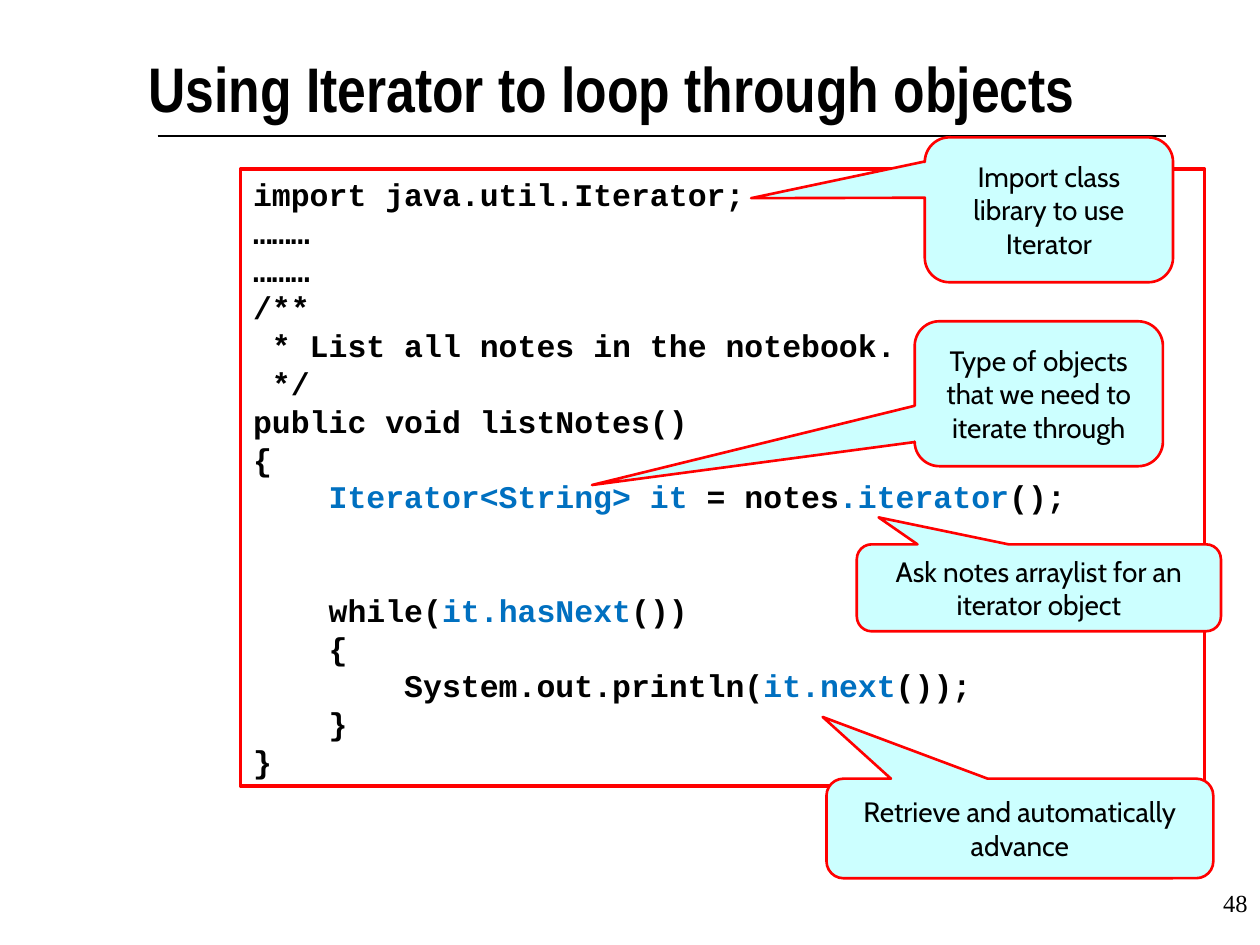
from pptx import Presentation, util as u
from pptx.dml.color import RGBColor
from pptx.enum import shapes, text
from pptx.oxml.ns import qn
from lxml import etree

COLS, ROWS = 40, 30
BLACK, RED, BLUE, WHITE, CYAN = "000000", "FF0000", "0070C0", "FFFFFF", "CCFFFF"
LEFT, CENTER, RIGHT = text.PP_ALIGN.LEFT, text.PP_ALIGN.CENTER, text.PP_ALIGN.RIGHT
PITCH = 21.6

CODE = """import java.util.Iterator;
………
………
/**
 * List all notes in the notebook.
 */
public void listNotes()
{
    |Iterator<String> it |= notes|.iterator|();
    while(|it.hasNext|())
    {
        System.out.println(|it.next|());
    }
}"""

CALLOUTS = [
    ("Ask notes arraylist for an iterator object", (27.2, 17.28, 11.56, 2.76), (-0.44, -0.81)),
    ("Retrieve and automatically advance", (26.24, 24.72, 12.28, 3.16), (-0.51, -1.12)),
    ("Type of objects that we need to iterate through", (29.04, 10.2, 7.88, 4.6), (-1.8, 0.63)),
    ("Import class library to use Iterator", (29.36, 4.36, 7.88, 4.6), (-1.2, -0.08)),
]


def rgb(value):
    """Turn a hex string into a colour."""
    return RGBColor.from_string(value)


class Deck:
    """Hold the text styles and the current slide, and draw on its grid."""

    styles = {
        "title": {"name": "Arial Narrow", "size": u.Pt(36), "bold": True},
        "code": {"name": "Courier New", "size": u.Pt(18), "bold": True},
        "callout": {"name": "Cabin", "size": u.Pt(16), "bold": False},
        "number": {"name": "Times New Roman", "size": u.Pt(14), "bold": False},
    }

    def __init__(self):
        """Start a deck with one blank slide."""
        self.prs = Presentation()
        self.prs.slide_width, self.prs.slide_height = u.Inches(10), u.Inches(7.5)
        self.s = self.prs.slides.add_slide(self.prs.slide_layouts[6])

    def place(self, *cells):
        """Turn alternating columns and rows into lengths."""
        units = self.prs.slide_width / COLS, self.prs.slide_height / ROWS
        return [round(c * units[i % 2]) for i, c in enumerate(cells)]

    def set_lines(self, tf, lines, style, align=LEFT, anchor=text.MSO_ANCHOR.TOP):
        """Fill a frame with lines whose parts between bars are blue."""
        tf.word_wrap, tf.vertical_anchor = True, anchor
        for i, line in enumerate(lines):
            p = tf.add_paragraph() if i else tf.paragraphs[0]
            p.alignment = align
            for j, part in enumerate(line.split("|")):
                r = p.add_run()
                r.text = part
                for key, value in self.styles[style].items():
                    setattr(r.font, key, value)
                r.font.color.rgb = rgb(BLUE if j % 2 else BLACK)

    def label(self, words, box, style, align=LEFT, margin=None):
        """Add a text box."""
        tf = self.s.shapes.add_textbox(*self.place(*box)).text_frame
        if margin is not None:
            for side in ("left", "top", "right", "bottom"):
                setattr(tf, f"margin_{side}", margin)
        self.set_lines(tf, [words], style, align)

    def shape(self, kind, box, fill, width):
        """Add a red-edged shape."""
        sp = self.s.shapes.add_shape(kind, *self.place(*box))
        sp.shadow.inherit = False
        sp.fill.solid()
        sp.fill.fore_color.rgb = rgb(fill)
        sp.line.color.rgb, sp.line.width = rgb(RED), u.Pt(width)
        return sp

    def code(self, source, box, gap_before):
        """Add a code panel with a gap of two lines before one line."""
        sp = self.shape(shapes.MSO_SHAPE.RECTANGLE, box, WHITE, 2)
        self.set_lines(sp.text_frame, source.splitlines(), "code")
        for p in sp.text_frame.paragraphs:
            p.line_spacing = u.Pt(PITCH)
            if p.text.strip().startswith(gap_before):
                p.space_before = u.Pt(2 * PITCH)

    def callout(self, words, box, tip):
        """Add a rounded callout pointing at a tip."""
        sp = self.shape(shapes.MSO_SHAPE.ROUNDED_RECTANGULAR_CALLOUT, box, CYAN, 1.5)
        for i, value in enumerate((*tip, 0.17)):
            sp.adjustments[i] = value
        self.set_lines(sp.text_frame, [words], "callout", CENTER, text.MSO_ANCHOR.MIDDLE)

    def rule(self, *ends):
        """Add a thin black line."""
        sp = self.s.shapes.add_connector(shapes.MSO_CONNECTOR.STRAIGHT, *self.place(*ends))
        sp.line.color.rgb, sp.line.width = rgb(BLACK), u.Pt(0.75)
        etree.SubElement(sp._element.spPr, qn("a:effectLst"))


def main():
    """Build and save the slide."""
    deck = Deck()
    deck.rule(5, 4.32, 37, 4.32)
    deck.label("48", (31.68, 28, 8.32, 2), "number", RIGHT)
    deck.code(CODE, (7.64, 5.36, 30.6, 19.6), "while")
    deck.label("Using Iterator to loop through objects", (4.72, 1.56, 30.6, 3), "title", margin=0)
    for callout in CALLOUTS:
        deck.callout(*callout)
    deck.prs.save("out.pptx")


if __name__ == "__main__":
    main()
